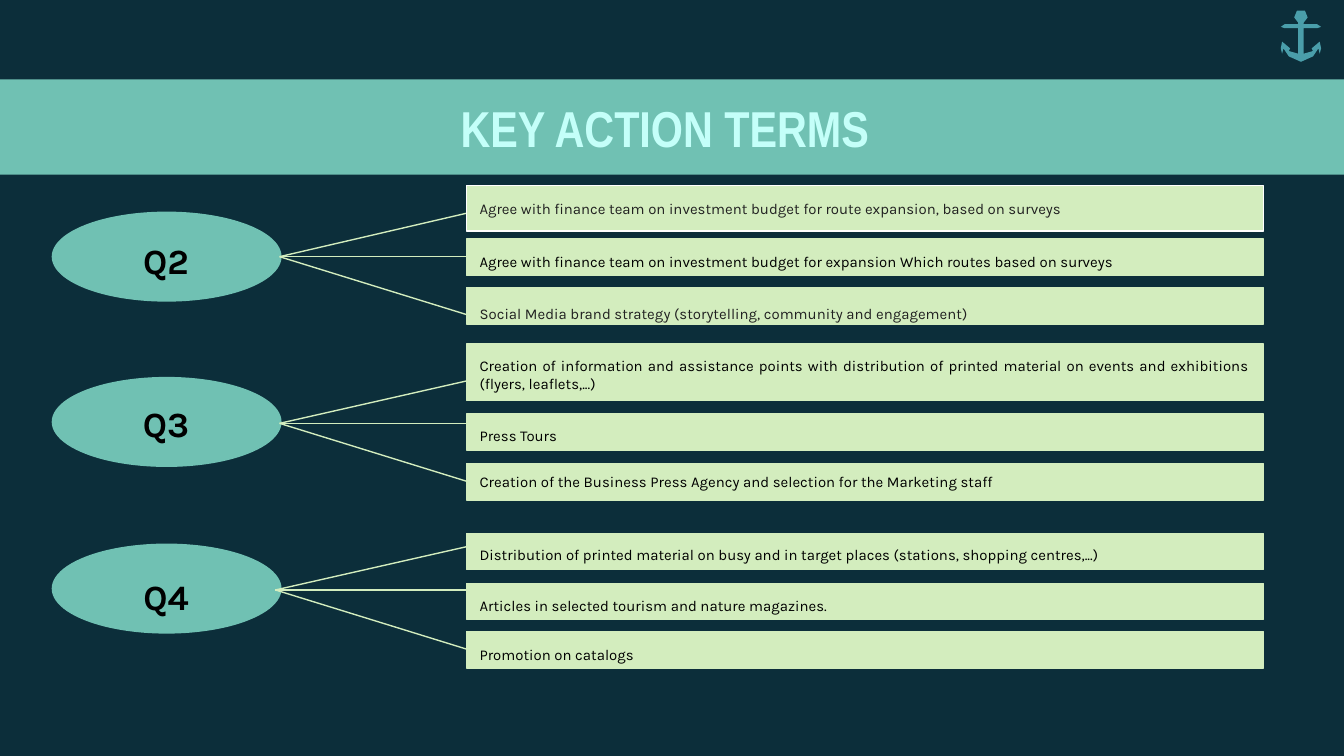
from lxml import etree
from pptx import Presentation
from pptx import util as u
from pptx.dml.color import RGBColor
from pptx.enum import shapes, text
from pptx.oxml.ns import qn

NAVY = RGBColor(0x0C, 0x2E, 0x3A)
TEAL = RGBColor(0x70, 0xC1, 0xB3)
AQUA = RGBColor(0xC4, 0xFF, 0xF9)
LIME = RGBColor(0xD3, 0xED, 0xBE)
ANCHOR_BLUE = RGBColor(0x4A, 0x9E, 0xAA)
WHITE = RGBColor(0xFF, 0xFF, 0xFF)
BLACK = RGBColor(0, 0, 0)
GRAY = RGBColor(0x21, 0x21, 0x21)
LEFT, JUSTIFY, CENTER = text.PP_ALIGN.LEFT, text.PP_ALIGN.JUSTIFY, text.PP_ALIGN.CENTER

TITLE = "KEY ACTION TERMS "
QUARTERS = [
    {"name": "Q2", "top": 1.58, "label": (0.52, 1.68, 1.43), "hub": (2.08, 1.91),
     "ends": [(3.5, 1.58), (3.56, 1.91), (3.63, 2.39)], "actions": [
        {"words": "Agree with finance team on investment budget for route expansion, based on surveys",
         "bar": (1.38, 0.34), "box": (1.38, 5.93, 0.34), "color": GRAY, "outline": WHITE},
        {"words": "Agree with finance team on investment budget for expansion Which routes based on surveys",
         "bar": (1.78, 0.27), "box": (1.78, 5.93, 0.34)},
        {"words": "Social Media brand strategy (storytelling, community and engagement)",
         "bar": (2.14, 0.27), "box": (2.16, 4.62, 0.34), "color": GRAY}]},
    {"name": "Q3", "top": 2.81, "label": (0.45, 2.89, 1.57), "hub": (2.08, 3.15),
     "ends": [(3.58, 2.81), (3.65, 3.15), (3.63, 3.63)], "actions": [
        {"words": "Creation of information and assistance points with distribution of printed material "
                  "on events and exhibitions (flyers, leaflets,...)",
         "bar": (2.56, 0.42), "box": (2.55, 5.93, 0.47), "align": JUSTIFY},
        {"words": "Press Tours", "bar": (3.08, 0.27), "box": (3.07, 3.34, 0.34)},
        {"words": "Creation of the Business Press Agency and selection for the Marketing staff",
         "bar": (3.45, 0.27), "box": (3.41, 5.93, 0.34)}]},
    {"name": "Q4", "top": 4.05, "label": (0.45, 4.18, 1.57), "hub": (2.05, 4.39),
     "ends": [(3.55, 4.05), (3.61, 4.39), (3.6, 4.87)], "actions": [
        {"words": "Distribution of printed material on busy and in target places (stations, shopping centres,...)",
         "bar": (3.97, 0.27), "box": (3.96, 5.93, 0.34)},
        {"words": "Articles in selected tourism and nature magazines.",
         "bar": (4.34, 0.27), "box": (4.32, 3.34, 0.34), "spacing": 1.29},
        {"words": "Promotion on catalogs", "bar": (4.7, 0.27), "box": (4.7, 3.34, 0.34)}]},
]
ANCHOR_CENTER = 9.68
ANCHOR_HALF = [(0.03, 0.08), (0.05, 0.13), (0.02, 0.17), (0.02, 0.18), (0.12, 0.18), (0.15, 0.2),
               (0.12, 0.21), (0.02, 0.21), (0.02, 0.4), (0.09, 0.38), (0.08, 0.36), (0.14, 0.31),
               (0.15, 0.36), (0.14, 0.4), (0.13, 0.36), (0.09, 0.42), (0, 0.46)]
WIDTH = 10
HEIGHT = WIDTH * 9 / 16
OVAL_LEFT, OVAL_WIDTH, OVAL_HEIGHT = 0.39, 1.7, 0.66
BAR_LEFT, BAR_WIDTH = 3.47, 5.93

presentation = Presentation()
presentation.slide_width, presentation.slide_height = u.Inches(WIDTH), u.Inches(HEIGHT)
slide = presentation.slides.add_slide(presentation.slide_layouts[6])
slide.background.fill.solid()
slide.background.fill.fore_color.rgb = NAVY


def paint(shape, fill, outline=None):
    shape.shadow.inherit = False
    shape.fill.solid()
    shape.fill.fore_color.rgb = fill
    if outline is None:
        shape.line.fill.background()
    else:
        shape.line.color.rgb = outline
        shape.line.width = u.Pt(0.75)


def add_block(kind, left, top, width, height, fill, outline=None):
    paint(slide.shapes.add_shape(kind, *map(u.Inches, (left, top, width, height))), fill, outline)


def add_text(words, left, top, width, height, size=8, font="Karla", color=BLACK, bold=False,
             align=LEFT, anchor=text.MSO_ANCHOR.MIDDLE, spacing=None):
    box = slide.shapes.add_textbox(*map(u.Inches, (left, top, width, height)))
    frame = box.text_frame
    frame.word_wrap = True
    frame.vertical_anchor = anchor
    frame.margin_left = frame.margin_right = frame.margin_top = frame.margin_bottom = u.Inches(0.1)
    paragraph = frame.paragraphs[0]
    paragraph.text = words
    paragraph.alignment = align
    paragraph.line_spacing = spacing
    paragraph.font.size, paragraph.font.name = u.Pt(size), font
    paragraph.font.bold, paragraph.font.color.rgb = bold, color


def add_branch(start, end):
    line = slide.shapes.add_connector(shapes.MSO_CONNECTOR.STRAIGHT, *map(u.Inches, start + end))
    line.line.color.rgb = LIME
    line.line.width = u.Pt(0.75)
    etree.SubElement(line._element.spPr, qn("a:effectLst"))


def add_anchor():
    right = [(ANCHOR_CENTER + offset, y) for offset, y in ANCHOR_HALF]
    left = [(ANCHOR_CENTER - offset, y) for offset, y in reversed(ANCHOR_HALF)]
    outline = [(u.Inches(x), u.Inches(y)) for x, y in right + left]
    builder = slide.shapes.build_freeform(*outline[0])
    builder.add_line_segments(outline[1:], close=True)
    paint(builder.convert_to_shape(), ANCHOR_BLUE)


add_block(shapes.MSO_SHAPE.RECTANGLE, 0, 0.59, WIDTH, 0.71, TEAL)
add_text(TITLE, 0.72, 0.59, 8.54, 0.71, size=27, font="Arial Narrow", color=AQUA, bold=True, align=CENTER)
add_anchor()

for quarter in QUARTERS:
    add_block(shapes.MSO_SHAPE.OVAL, OVAL_LEFT, quarter["top"], OVAL_WIDTH, OVAL_HEIGHT, TEAL, TEAL)
    add_text(quarter["name"], *quarter["label"], 0.52, size=19, bold=True,
             align=CENTER, anchor=text.MSO_ANCHOR.TOP)
    for end in quarter["ends"]:
        add_branch(quarter["hub"], end)
    for action in quarter["actions"]:
        bar_top, bar_height = action["bar"]
        add_block(shapes.MSO_SHAPE.RECTANGLE, BAR_LEFT, bar_top, BAR_WIDTH, bar_height,
                  LIME, action.get("outline", LIME))
        add_text(action["words"], BAR_LEFT, *action["box"],
                 color=action.get("color", BLACK), align=action.get("align", LEFT),
                 spacing=action.get("spacing"))

presentation.save("out.pptx")
